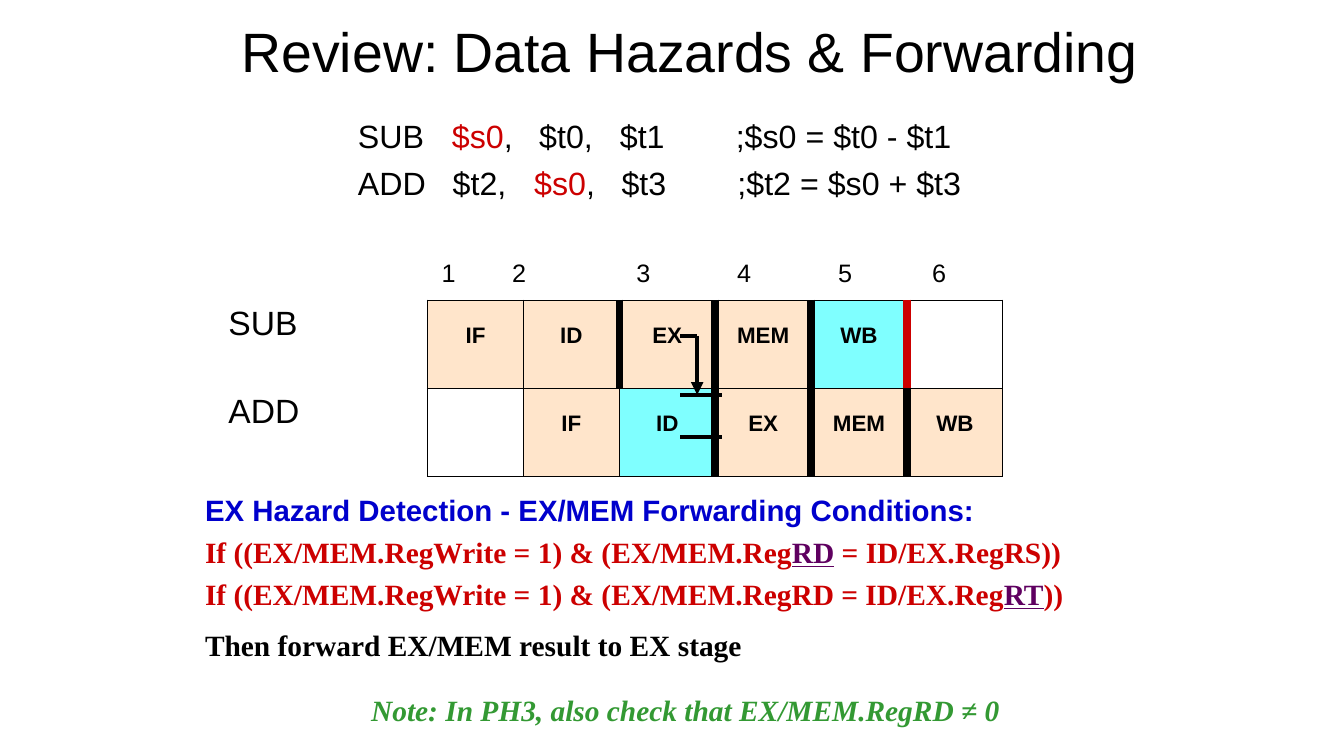
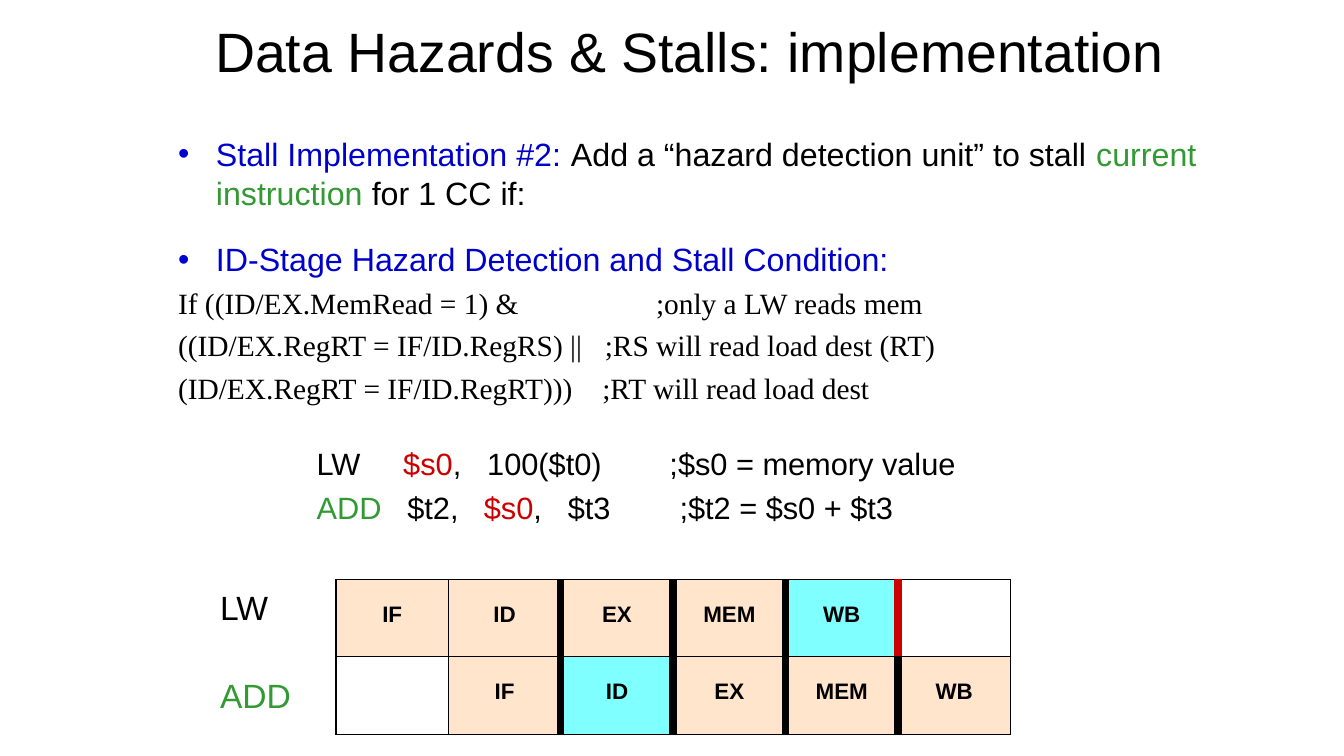
from lxml import etree
from pptx import Presentation
from pptx.dml.color import RGBColor
from pptx.enum.shapes import MSO_CONNECTOR, MSO_SHAPE
from pptx.enum.text import MSO_ANCHOR, PP_ALIGN
from pptx.oxml.ns import qn
from pptx.util import Inches, Pt

# Shared style
BLACK = RGBColor(0x00, 0x00, 0x00)
BLUE = RGBColor(0x00, 0x00, 0xCC)
RED = RGBColor(0xCC, 0x00, 0x00)
GREEN = RGBColor(0x33, 0x99, 0x33)
PURPLE = RGBColor(0x5F, 0x00, 0x60)
PEACH = RGBColor(0xFF, 0xCC, 0x99)
CYAN = RGBColor(0x00, 0xFF, 0xFF)
SANS, SERIF = "Arial", "Times New Roman"
LEFT, CENTER = PP_ALIGN.LEFT, PP_ALIGN.CENTER
TOP, MIDDLE = MSO_ANCHOR.TOP, MSO_ANCHOR.MIDDLE
STRAIGHT, ROUNDED = MSO_CONNECTOR.STRAIGHT, MSO_SHAPE.ROUNDED_RECTANGLE

# Grid of 160 columns by 90 rows, twelve to the inch
COLUMNS, ROWS = 160, 90
STAGES = ["IF", "ID", "EX", "MEM", "WB"]
THIN, THICK = 1, 6


def grid(count):
    return Inches(count / 12)


def add_child(parent, tag, **attributes):
    child = etree.SubElement(parent, qn(tag))
    for name, value in attributes.items():
        child.set(name, str(value))
    return child


class Lecture:
    def __init__(self):
        self.deck = Presentation()
        self.deck.slide_width, self.deck.slide_height = grid(COLUMNS), grid(ROWS)
        self.page = None

    def new_page(self, title):
        self.page = self.deck.slides.add_slide(self.deck.slide_layouts[6])
        frame = self.text_box(23, 2, 117, 8, anchor=MIDDLE)
        self.line(frame, title, size=39.6, align=CENTER)

    # Text containers
    def text_box(self, left, top, width, height, **layout):
        box = self.page.shapes.add_textbox(*map(grid, (left, top, width, height)))
        return self.frame(box, **layout)

    def rounded_box(self, left, top, width, height, **layout):
        box = self.page.shapes.add_shape(
            ROUNDED, *map(grid, (left, top, width, height)))
        box.adjustments[0] = 0.125
        box.shadow.inherit = False
        box.fill.background()
        box.line.fill.background()
        return self.frame(box, **layout)

    def frame(self, box, inset_left=1.2, inset_top=0.6, anchor=TOP):
        frame = box.text_frame
        frame.word_wrap = True
        frame.vertical_anchor = anchor
        frame.margin_left, frame.margin_top = grid(inset_left), grid(inset_top)
        frame.margin_right = 0
        return frame

    # One paragraph; spans are plain text or (text, colour, underline)
    def line(self, frame, *spans, size=23, font=SANS, color=BLACK, bold=False,
             italic=False, align=LEFT, before=0, spacing=1.0, bullet=None,
             stops=(), stop_align="l"):
        para = frame.paragraphs[0]
        if para.runs:
            para = frame.add_paragraph()
            para.space_before = Pt(before)
        para.alignment, para.line_spacing = align, spacing
        properties = para._p.get_or_add_pPr()
        if bullet:
            properties.set("marL", str(grid(4.5)))
            properties.set("indent", str(-grid(4.5)))
            add_child(add_child(properties, "a:buClr"), "a:srgbClr", val=bullet)
            add_child(properties, "a:buFont", typeface=SANS)
            add_child(properties, "a:buChar", char="•")
        if stops:
            tabs = add_child(properties, "a:tabLst")
            for stop in stops:
                add_child(tabs, "a:tab", pos=grid(stop), algn=stop_align)
        para.font.name, para.font.size = font, Pt(size)
        para.font.bold, para.font.italic = bold, italic
        para.font.color.rgb = color
        for item in spans:
            text, tint, *underline = (item, color) if isinstance(item, str) else item
            span = para.add_run()
            span.text = text
            if tint != color:
                span.font.color.rgb = tint
            if underline:
                span.font.underline = True

    def row_labels(self, left, top, first, second, second_color=BLACK):
        frame = self.text_box(left, top, 12, 17, inset_top=0.9)
        self.line(frame, first, size=24)
        self.line(frame, second, size=24, before=34, color=second_color)

    # Pipeline table: the second instruction starts one cycle later
    def pipeline(self, left, top, width, height, first_thick):
        table = self.page.shapes.add_table(
            2, 6, *map(grid, (left, top, width, height))).table
        table.first_row = table.horz_banding = False
        for column in table.columns:
            column.width = grid(width / 6)
        for row, name_row in enumerate([STAGES + [""], [""] + STAGES]):
            table.rows[row].height = grid(height / 2)
            edges = [(THICK if first_thick[row] <= edge <= 5 else THIN,
                      RED if (row, edge) == (0, 5) else BLACK)
                     for edge in range(7)]
            for column, stage in enumerate(name_row):
                shared = (row, stage) in [(0, "WB"), (1, "ID")]
                self.stage_cell(table.cell(row, column), stage,
                                CYAN if shared else PEACH,
                                edges[column], edges[column + 1])

    def stage_cell(self, cell, stage, color, left_edge, right_edge):
        cell.margin_left = cell.margin_right = cell.margin_bottom = grid(0.6)
        cell.margin_top = grid(3)
        properties = cell._tc.get_or_add_tcPr()
        sides = {"a:lnL": left_edge, "a:lnR": right_edge,
                 "a:lnT": (THIN, BLACK), "a:lnB": (THIN, BLACK)}
        for tag, (weight, tint) in sides.items():
            border = add_child(properties, tag, w=Pt(weight))
            add_child(add_child(border, "a:solidFill"), "a:srgbClr", val=tint)
        if not stage:
            cell.fill.background()
            return
        cell.fill.solid()
        cell.fill.fore_color.rgb = color
        add_child(properties[-1][0], "a:alpha", val=50000)
        self.line(cell.text_frame, stage, size=16, bold=True, align=CENTER,
                  spacing=0.9)

    def connector(self, x1, y1, x2, y2, arrow=False):
        link = self.page.shapes.add_connector(
            STRAIGHT, *map(grid, (x1, y1, x2, y2)))
        link.line.color.rgb, link.line.width = BLACK, Pt(3)
        if arrow:
            add_child(link.line._get_or_add_ln(), "a:tailEnd", type="triangle")
        add_child(link._element.spPr, "a:effectLst")


def forwarding_page(lecture):
    lecture.new_page("Review: Data Hazards & Forwarding")

    # Instructions
    code = lecture.text_box(25, 12, 115, 27, inset_left=17.6, inset_top=1.9)
    lecture.line(code, "SUB\t", ("$s0", RED), ",\t$t0,\t$t1\t;$s0 = $t0 - $t1",
                 stops=(11.2, 21.6, 31.2, 45))
    lecture.line(code, "ADD\t$t2,\t", ("$s0", RED), ",\t$t3\t;$t2 = $s0 + $t3",
                 before=5.5, stops=(11.3, 21, 31.4, 45.2))

    # Pipeline with its cycle numbers
    lecture.row_labels(26, 35, "SUB", "ADD")
    lecture.pipeline(50.9, 35.75, 68.5, 21, first_thick=(2, 3))
    cycles = lecture.text_box(49, 30, 69.6, 5)
    lecture.line(cycles, "\t1\t2\t3\t4\t5\t6", size=18, stop_align="ctr",
                 stops=(3.2, 11.6, 26.4, 38.4, 50.4, 61.6))

    # Conditions
    rules = lecture.rounded_box(22, 57, 118, 33, inset_top=0.8)
    base = dict(size=21, bold=True, spacing=0.9)
    lecture.line(rules, "EX Hazard Detection - EX/MEM Forwarding Conditions:",
                 color=BLUE, **base)
    base["font"] = SERIF
    lecture.line(rules, "If ((EX/MEM.RegWrite = 1) & (EX/MEM.Reg",
                 ("RD", PURPLE, True), " = ID/EX.RegRS))",
                 color=RED, before=7.4, **base)
    lecture.line(rules, "If ((EX/MEM.RegWrite = 1) & (EX/MEM.RegRD = ID/EX.Reg",
                 ("RT", PURPLE, True), "))", color=RED, before=7.4, **base)
    lecture.line(rules, "Then forward EX/MEM result to EX stage",
                 before=14, **base)
    lecture.line(rules, "Note: In PH3, also check that EX/MEM.RegRD ≠ 0",
                 color=GREEN, italic=True, align=CENTER, before=24, **base)

    # Forwarding path
    lecture.connector(81, 47, 86, 47)
    lecture.connector(81, 52, 86, 52)
    lecture.connector(83, 40, 83, 47, arrow=True)
    lecture.connector(81, 40, 83, 40)


def stall_page(lecture):
    lecture.new_page("Data Hazards & Stalls: implementation")

    # Stall rule
    body = lecture.text_box(20, 15, 124, 35, inset_top=1)
    lecture.line(body, ("Stall Implementation #2: ", BLUE),
                 "Add a “hazard detection unit” to stall ",
                 ("current instruction", GREEN), " for 1 CC if:", bullet=BLUE)
    lecture.line(body, "ID-Stage Hazard Detection and Stall Condition:",
                 color=BLUE, before=20, bullet=BLUE)
    conditions = [
        ("If ((ID/EX.MemRead = 1) &\t;only a LW reads mem", 56.9),
        ("((ID/EX.RegRT = IF/ID.RegRS) ||\t;RS will read load dest (RT)", 50.8),
        ("(ID/EX.RegRT = IF/ID.RegRT)))\t;RT will read load dest", 50.5),
    ]
    for text, stop in conditions:
        lecture.line(body, text, size=21, font=SERIF, before=5, stops=(stop,))

    # Instructions
    code = lecture.text_box(36.5, 52.3, 80, 10)
    lecture.line(code, "LW\t", ("$s0", RED), ",\t100($t0)\t;$s0 = memory value",
                 size=22, stops=(10.3, 20.3, 42))
    lecture.line(code, ("ADD", GREEN), "\t$t2,\t", ("$s0", RED),
                 ",\t$t3\t;$t2 = $s0 + $t3", size=22, before=5.4,
                 stops=(10.8, 19.9, 29.9, 43.2))

    # Pipeline
    lecture.row_labels(25, 69, "LW", "ADD", second_color=GREEN)
    lecture.pipeline(40, 69, 80.3, 18.4, first_thick=(2, 2))


def main():
    lecture = Lecture()
    forwarding_page(lecture)
    stall_page(lecture)
    lecture.deck.save("out.pptx")


if __name__ == "__main__":
    main()
